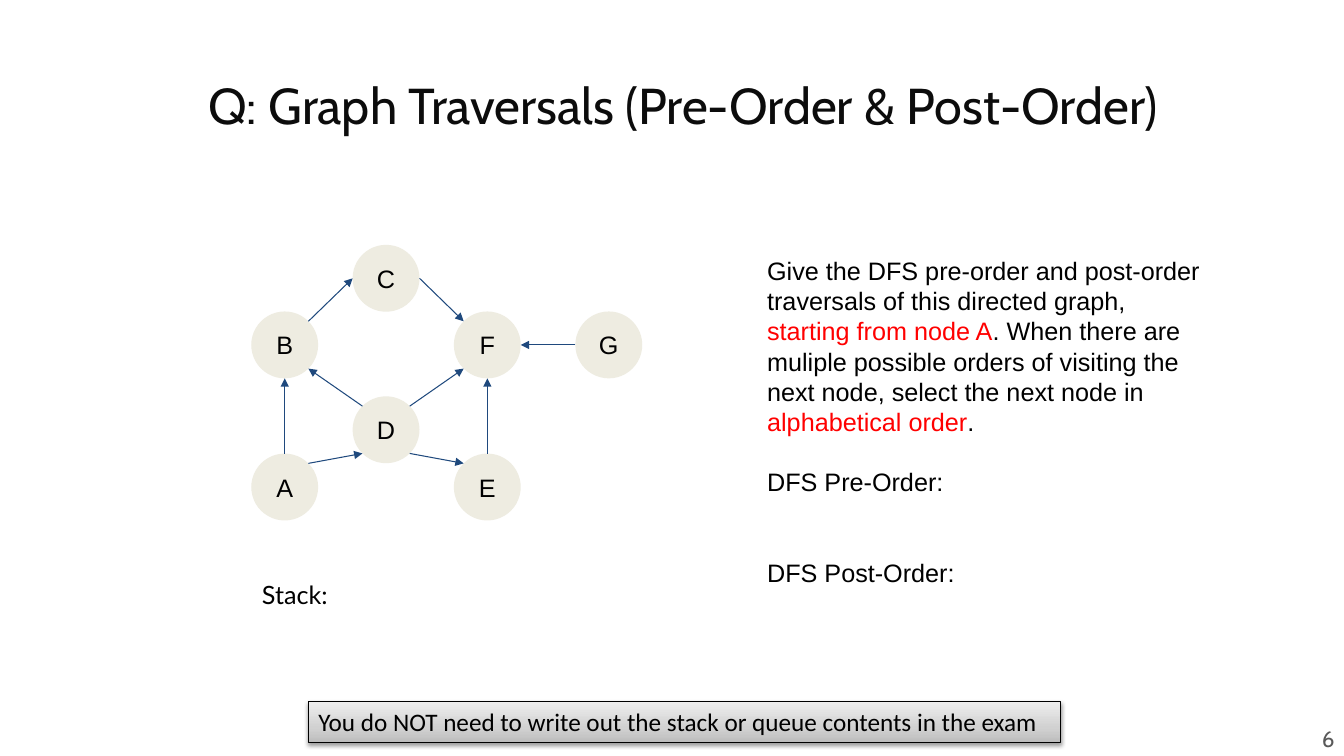
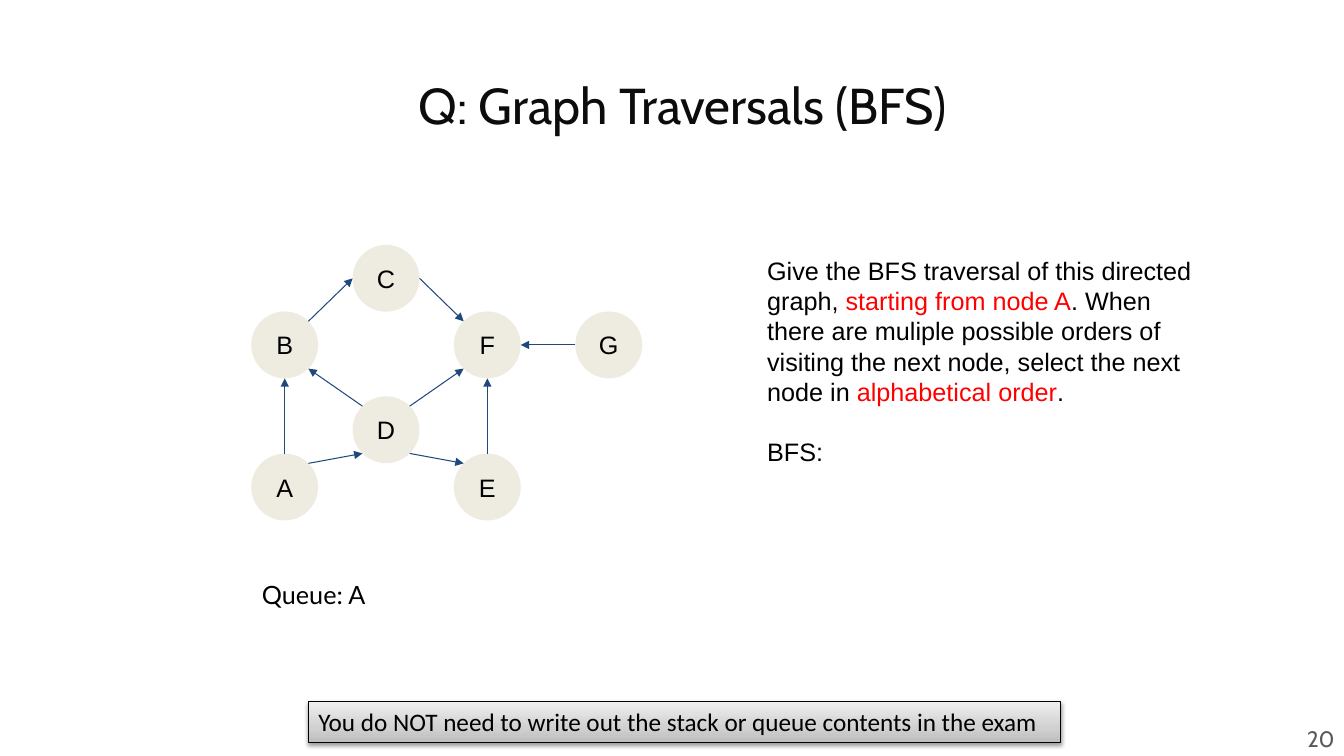
"""Build two graph traversal question slides."""
from copy import deepcopy
from dataclasses import dataclass
from math import cos, radians, sin

from lxml.etree import SubElement
from pptx import Presentation
from pptx.dml.color import RGBColor
from pptx.enum.shapes import MSO_CONNECTOR as Conn, MSO_SHAPE as Shape
from pptx.enum.text import MSO_ANCHOR as Anchor, PP_ALIGN as Align
from pptx.oxml.ns import qn
from pptx.util import Pt


@dataclass(frozen=True)
class Theme:
    """Colours, fonts and type sizes."""
    ink: str = "000000"
    title: str = "0C0C0C"
    accent: str = "FF0000"
    number: str = "595959"
    node: str = "EEECE1"
    edge: str = "1F497D"
    banner: tuple = ((0, "BDBDBD"), (0.35, "D1D1D1"), (1, "EEEEEE"))
    heading_font: str = "Cabin"
    body_font: str = "Arial"
    label_font: str = "Lato"
    banner_font: str = "Calibri"
    title_size: float = 36
    body_size: float = 18
    number_size: float = 16
    body_leading: float = 21.6
    hairline: float = 0.75


T = Theme()
LINE = T.body_leading
RADIUS = 23.9
COL = [203.4, 275.8, 348.1, 434.9]
ROW = [198.8, 246.4, 307, 347.9]
NODES = {
    "A": (COL[0], ROW[3]), "B": (COL[0], ROW[1]), "C": (COL[1], ROW[0]),
    "D": (COL[1], ROW[2]), "E": (COL[2], ROW[3]), "F": (COL[2], ROW[1]),
    "G": (COL[3], ROW[1]),
}
TOP, TOP_LEFT, LEFT, BOT_LEFT, BOTTOM, BOT_RIGHT, RIGHT, TOP_RIGHT = range(8)
EDGES = [
    ("A", TOP, "B", BOTTOM), ("A", TOP_RIGHT, "D", BOT_LEFT),
    ("D", TOP_LEFT, "B", BOT_RIGHT), ("B", TOP_RIGHT, "C", LEFT),
    ("D", TOP_RIGHT, "F", BOT_LEFT), ("D", BOT_RIGHT, "E", TOP_LEFT),
    ("E", TOP, "F", BOTTOM), ("C", RIGHT, "F", TOP_LEFT),
    ("G", LEFT, "F", RIGHT),
]
RULE = (
    "*starting from node A*. When there are muliple possible orders of "
    "visiting the next node, select the next node in *alphabetical order*."
)
QUESTIONS = [
    dict(
        title="Q: Graph Traversals (Pre-Order & Post-Order)", number="6",
        task="Give the DFS pre-order and post-order traversals of this directed graph, ",
        answers=[("DFS Pre-Order:", LINE), ("DFS Post-Order:", 2 * LINE)],
        height=254, state="Stack:",
    ),
    dict(
        title="Q: Graph Traversals (BFS)", number="20",
        task="Give the BFS traversal of this directed graph, ",
        answers=[("BFS:", LINE)], height=167, state="Queue: A",
    ),
]


def write(sp, paras, font=T.body_font, size=T.body_size, color=T.ink,
          align=Align.LEFT, anchor=Anchor.TOP, inset=7.2, leading=None):
    """Fill a shape with (text, space before) pairs; *stars* mark accents."""
    tf = sp.text_frame
    tf.word_wrap = True
    tf.vertical_anchor = anchor
    tf.margin_left = tf.margin_right = Pt(7.2)
    tf.margin_top = tf.margin_bottom = Pt(inset)
    for i, (text, gap) in enumerate(paras):
        p = tf.add_paragraph() if i else tf.paragraphs[0]
        p.alignment = align
        p.space_before = Pt(gap)
        if leading:
            p.line_spacing = Pt(leading)
        for j, part in enumerate(text.split("*")):
            r = p.add_run()
            r.text = part
            r.font.name = font
            r.font.size = Pt(size)
            r.font.color.rgb = RGBColor.from_string(T.accent if j % 2 else color)


def site(name, idx):
    """Return the point of a node's connection site."""
    x, y = NODES[name]
    angle = radians(90 + 45 * idx)
    return Pt(x + RADIUS * cos(angle)), Pt(y - RADIUS * sin(angle))


class Deck:
    """Hold the presentation and the slide being drawn."""

    def __init__(self):
        """Start a widescreen presentation."""
        self.prs = Presentation()
        self.prs.slide_width, self.prs.slide_height = Pt(960), Pt(540)
        self.s = None

    def slide(self):
        """Add a blank slide."""
        self.s = self.prs.slides.add_slide(self.prs.slide_layouts[6])

    def text(self, box, paras, **fmt):
        """Add a text box."""
        write(self.s.shapes.add_textbox(*map(Pt, box)), paras, **fmt)

    def shape(self, kind, box):
        """Add a preset shape without its default shadow."""
        sp = self.s.shapes.add_shape(kind, *map(Pt, box))
        sp.shadow.inherit = False
        return sp

    def node(self, name):
        """Add a labelled graph node."""
        x, y = NODES[name]
        sp = self.shape(Shape.OVAL, (x - RADIUS, y - RADIUS, 2 * RADIUS, 2 * RADIUS))
        sp.fill.solid()
        sp.fill.fore_color.rgb = RGBColor.from_string(T.node)
        sp.line.fill.background()
        write(sp, [(name, 0)], align=Align.CENTER, anchor=Anchor.MIDDLE)
        return sp

    def edge(self, start, start_idx, end, end_idx, nodes):
        """Add an arrow glued to two nodes."""
        cx = self.s.shapes.add_connector(
            Conn.STRAIGHT, *site(start, start_idx), *site(end, end_idx))
        cx.line.width = Pt(T.hairline)
        cx.line.color.rgb = RGBColor.from_string(T.edge)
        SubElement(cx.line._get_or_add_ln(), qn("a:tailEnd"), type="triangle")
        SubElement(cx._element.spPr, qn("a:effectLst"))
        glue = cx._element.find(".//" + qn("p:cNvCxnSpPr"))
        for tag, name, idx in (("a:stCxn", start, start_idx), ("a:endCxn", end, end_idx)):
            SubElement(glue, qn(tag), id=str(nodes[name].shape_id), idx=str(idx))

    def graph(self):
        """Draw all nodes and edges."""
        nodes = {name: self.node(name) for name in NODES}
        for edge in EDGES:
            self.edge(*edge, nodes)

    def banner(self, text):
        """Add the shaded note at the bottom."""
        sp = self.shape(Shape.RECTANGLE, (220.3, 501.1, 537.1, 29.1))
        sp.fill.gradient()
        sp.fill.gradient_angle = 90
        stops = sp._element.spPr.find(".//" + qn("a:gsLst"))
        stops.append(deepcopy(stops[0]))
        for stop, (pos, color) in zip(sp.fill.gradient_stops, T.banner):
            stop.position = pos
            stop.color.rgb = RGBColor.from_string(color)
        sp.line.color.rgb = RGBColor.from_string(T.ink)
        sp.line.width = Pt(T.hairline)
        effects = sp._element.spPr.find(qn("a:effectLst"))
        shadow = SubElement(effects, qn("a:outerShdw"), blurRad=str(Pt(3.1)),
                            dist=str(Pt(1.6)), dir="5400000", rotWithShape="0")
        black = SubElement(shadow, qn("a:srgbClr"), val=T.ink)
        SubElement(black, qn("a:alpha"), val="38000")
        write(sp, [(text, 0)], font=T.banner_font, inset=3.6)

    def question(self, title, number, task, answers, height, state):
        """Draw one complete question slide."""
        self.slide()
        self.text((107.3, 46, 761, 60.5), [(title, 0)], font=T.heading_font,
                  size=T.title_size, color=T.title, align=Align.CENTER)
        self.graph()
        self.text((540.9, 175, 326.9, height), [(task + RULE, 0), *answers],
                  leading=T.body_leading)
        self.text((180, 406.8, 577.4, 36), [(state, 0)], font=T.label_font)
        self.text((918.6, 511.2, 41.8, 33.1), [(number, 0)], font=T.heading_font,
                  size=T.number_size, color=T.number, align=Align.RIGHT,
                  anchor=Anchor.MIDDLE)
        self.banner("You do NOT need to write out the stack or queue contents in the exam")


def main():
    """Build and save the slides."""
    deck = Deck()
    for question in QUESTIONS:
        deck.question(**question)
    deck.prs.save("out.pptx")


if __name__ == "__main__":
    main()
